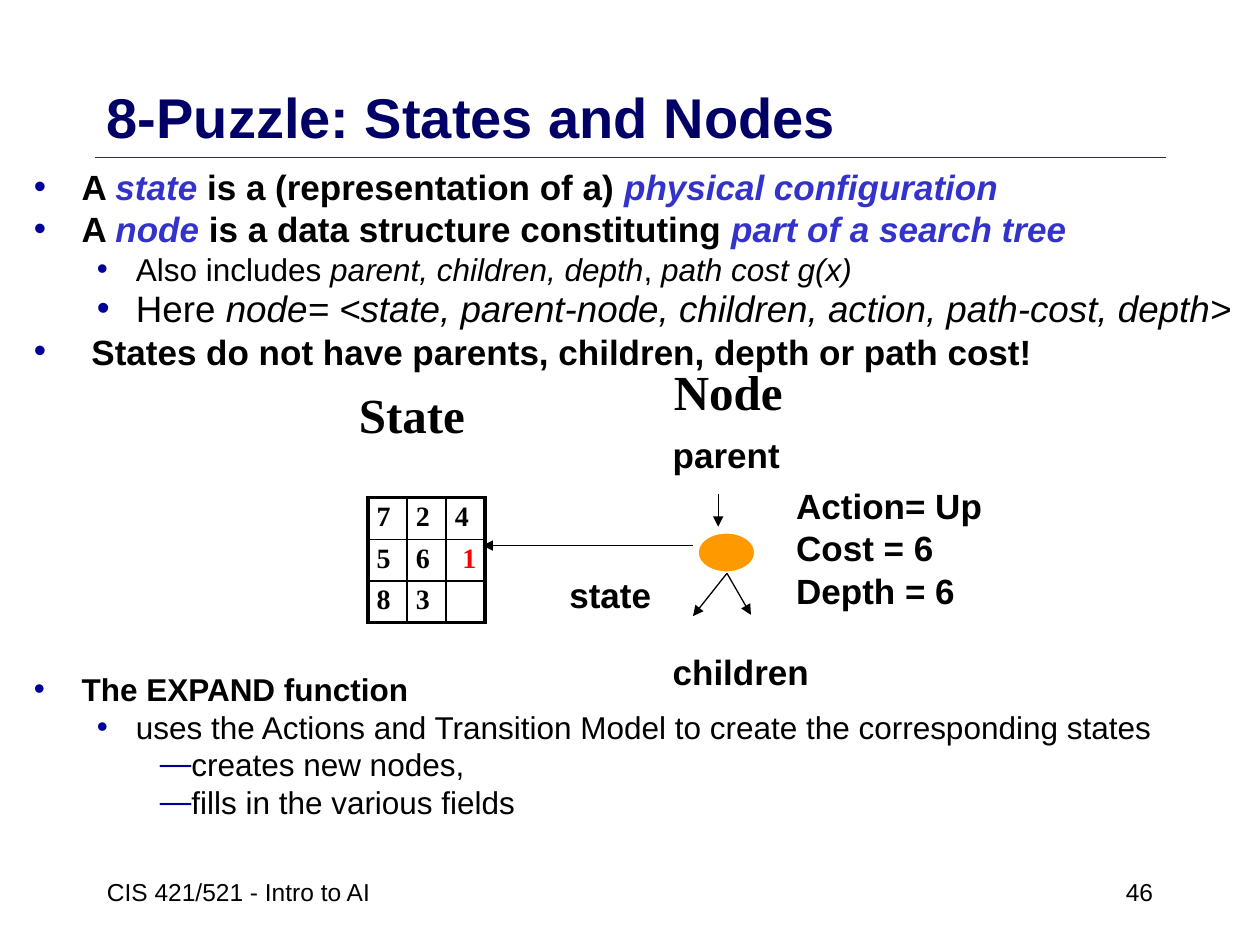
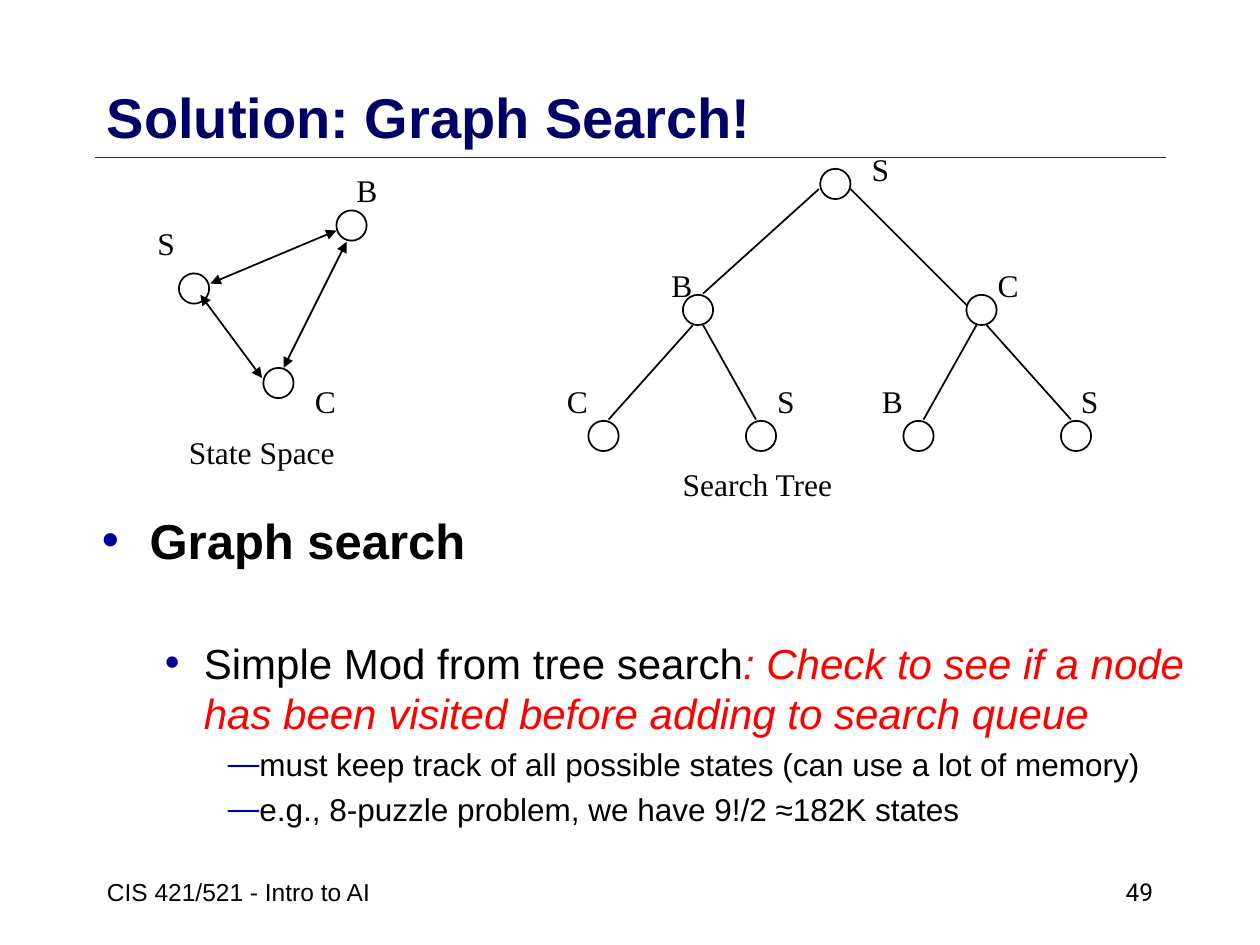
from lxml.etree import SubElement
from pptx import Presentation
from pptx.dml.color import RGBColor
from pptx.enum.shapes import MSO_CONNECTOR as Connector, MSO_SHAPE as Shape
from pptx.enum.text import MSO_ANCHOR as Anchor, PP_ALIGN as Align
from pptx.oxml.ns import qn
from pptx.util import Inches, Pt

COLORS = {
    "title": "000066", "rule": "003399", "bullet": "000099", "text": "000000",
    "term": "3333CC", "alert": "FF0000", "node": "FF9900", "white": "FFFFFF",
}
SANS, SERIF = "Arial", "Times New Roman"
# Bullet sign, left margin and hanging indent of each list level
LEVELS = [("•", 0.38, 0.38), ("•", 0.81, 0.31), ("—", 1.25, 0.25)]


def rgb(name):
    return RGBColor.from_string(COLORS[name])


class SlideBuilder:
    """Holds the shared style and the page being drawn."""

    def __init__(self):
        self.deck = Presentation()
        self.deck.slide_width, self.deck.slide_height = Inches(10), Inches(7.5)
        self.page = None

    def start(self, title, number, number_font=SANS):
        """Add a page with its title, rule and footers."""
        self.page = self.deck.slides.add_slide(self.deck.slide_layouts[6])
        self.line((0.75, 1.25), (9.25, 1.25), "rule")
        self.text((0.75, 0.67, 8.5, 0.5), [title], 32, color="title", bold=True, middle=True)
        self.text((0.75, 6.83, 2.83, 0.5), ["CIS 421/521 - Intro to AI"], 14, middle=True)
        self.text((7.17, 6.83, 2.08, 0.5), [number], 14, font=number_font,
                  middle=True, align=Align.RIGHT)

    def span(self, para, words, size, font=SANS, color="text", bold=False, italic=False):
        span = para.add_run()
        span.text = words
        style = span.font
        style.name, style.size, style.bold, style.italic = font, Pt(size), bold, italic
        style.color.rgb = rgb(color)

    def frame(self, place, wrap=True):
        box = self.page.shapes.add_textbox(*map(Inches, place))
        box.text_frame.word_wrap = wrap
        return box.text_frame

    def paragraphs(self, frame, items):
        """Yield one paragraph for each item, starting with the empty first one."""
        for index, item in enumerate(items):
            yield (frame.add_paragraph() if index else frame.paragraphs[0]), item

    def text(self, place, lines, size, wrap=True, middle=False, align=Align.LEFT, **style):
        frame = self.frame(place, wrap)
        frame.vertical_anchor = Anchor.MIDDLE if middle else Anchor.TOP
        for para, words in self.paragraphs(frame, lines):
            para.alignment = align
            self.span(para, words, size, **style)

    def label(self, words, left, top, width=0.36, height=0.4, size=18, font=SERIF, bold=False):
        self.text((left, top, width, height), [words], size, wrap=False, font=font, bold=bold)

    def bullets(self, place, items, spacing=1.0, gap_after=False):
        """Each item is (level, size, spans[, space before]); a span is (words, style)."""
        frame = self.frame(place)
        for para, (level, size, spans, *before) in self.paragraphs(frame, items):
            sign, margin, hang = LEVELS[level]
            gap = Pt(round(size * 0.23, 1))
            para.level, para.line_spacing = level, spacing
            first = para._p is frame.paragraphs[0]._p
            para.space_before = Pt(0) if first or gap_after else (before[0] if before else gap)
            para.space_after = gap if gap_after else Pt(0)
            props = para._p.get_or_add_pPr()
            props.set("marL", str(Inches(margin)))
            props.set("indent", str(-Inches(hang)))
            tint = SubElement(props, qn("a:buClr"))
            SubElement(tint, qn("a:srgbClr"), val=COLORS["bullet"])
            SubElement(props, qn("a:buFont"), typeface=SANS)
            SubElement(props, qn("a:buChar"), char=sign)
            for words, style in spans:
                self.span(para, words, size, bold=level == 0, **style)

    def line(self, start, end, color="text", width=1, heads=()):
        ends = map(Inches, (*start, *end))
        link = self.page.shapes.add_connector(Connector.STRAIGHT, *ends)
        link.line.color.rgb, link.line.width = rgb(color), Pt(width)
        SubElement(link._element.spPr, qn("a:effectLst"))
        for head in heads:
            SubElement(link.line._ln, qn(f"a:{head}"), type="triangle")

    def ellipse(self, left, top, width=0.24, height=0.24, fill=None, line="text", weight=1):
        oval = self.page.shapes.add_shape(Shape.OVAL, *map(Inches, (left, top, width, height)))
        oval.shadow.inherit = False
        if fill:
            oval.fill.solid()
            oval.fill.fore_color.rgb = rgb(fill)
        else:
            oval.fill.background()
        oval.line.color.rgb, oval.line.width = rgb(line), Pt(weight)

    def puzzle(self, place, rows, moved):
        """Draw the board; the moved tile is red and set a little to the right."""
        last = len(rows) - 1
        grid = self.page.shapes.add_table(len(rows), len(rows), *map(Inches, place)).table
        grid.first_row = grid.horz_banding = False
        for r, tiles in enumerate(rows):
            for c, tile in enumerate(tiles):
                cell = grid.cell(r, c)
                cell.margin_left = Inches(0.13 if tile == moved else 0.07)
                cell.margin_right = Inches(0.05)
                cell.margin_top = cell.margin_bottom = Inches(0.03)
                outer = {"L": c == 0, "R": c == last, "T": r == 0, "B": r == last}
                for side, thick in outer.items():
                    border = SubElement(cell._tc.get_or_add_tcPr(), qn(f"a:ln{side}"),
                                        w=str(Pt(2.25 if thick else 1)))
                    paint = SubElement(border, qn("a:solidFill"))
                    SubElement(paint, qn("a:srgbClr"), val=COLORS["text"])
                cell.fill.background()
                para = cell.text_frame.paragraphs[0]
                if tile:
                    self.span(para, tile, 16, SERIF, "alert" if tile == moved else "text", True)
                else:
                    SubElement(para._p, qn("a:endParaRPr"), sz="1600")


PLAIN, ITALIC = {}, {"italic": True}
TERM = {"color": "term", "italic": True}
ALERT = {"color": "alert", "italic": True}


def states_and_nodes(show):
    show.start("8-Puzzle: States and Nodes", "46")

    # Definitions above the diagram, EXPAND below it
    show.bullets((0.17, 1.33, 9.75, 1.7), [
        (0, 20, [("A ", PLAIN), ("state ", TERM), ("is a (representation of a) ", PLAIN),
                 ("physical configuration", TERM)]),
        (0, 20, [("A ", PLAIN), ("node ", TERM), ("is a data structure constituting ", PLAIN),
                 ("part of a search tree", TERM)]),
        (1, 18, [("Also includes ", PLAIN), ("parent, children, depth", ITALIC),
                 (", ", PLAIN), ("path cost g(x)", ITALIC)]),
        (1, 21, [("Here ", PLAIN),
                 ("node= <state, parent-node, children, action, path-cost, depth>", ITALIC)]),
        (0, 20, [(" States do not have parents, children, depth or path cost!", PLAIN)]),
    ], spacing=0.8, gap_after=True)
    show.bullets((0.17, 5.33, 9.75, 1.4), [
        (0, 18, [("The EXPAND function", PLAIN)]),
        (1, 18, [("uses the Actions and Transition Model to create the corresponding states",
                  PLAIN)]),
        (2, 18, [("creates new nodes,", PLAIN)]),
        (2, 18, [("fills in the various fields", PLAIN)]),
    ], spacing=0.8)

    # Node with its links
    show.ellipse(5.54, 4.23, 0.45, 0.31, fill="node", line="white", weight=0.75)
    fork = (5.77, 4.55)
    for start, end in [((5.7, 3.92), (5.7, 4.18)), (fork, (5.5, 4.89)),
                       (fork, (5.96, 4.88)), ((5.5, 4.33), (3.83, 4.33))]:
        show.line(start, end, width=0.75, heads=["tailEnd"])
    for words, left, top, width in [("parent", 5.24, 3.39, 1.05),
                                    ("children", 5.24, 5.11, 1.28), ("state", 4.42, 4.5, 0.85)]:
        show.label(words, left, top, width, 0.43, 20, SANS, True)
    show.text((6.22, 3.8, 1.68, 1.1), ["Action= Up", "Cost = 6", "Depth = 6"], 20, bold=True)

    # Headings and board
    for words, left, top in [("Node", 5.25, 2.82), ("State", 2.75, 3)]:
        show.text((left, top, 1.25, 0.57), [words], 28, font=SERIF, bold=True)
    show.puzzle((2.92, 3.95, 0.93, 0.99), ["724", "561", ("8", "3", "")], moved="1")


def graph_search(show):
    show.start("Solution: Graph Search!", "49", "Roboto")
    show.bullets((0.71, 4, 8.88, 2.8), [
        (0, 28, [("Graph search", PLAIN)]),
        (1, 24, [("Simple Mod from tree search", PLAIN),
                 (": Check to see if a node has been visited before adding to search queue",
                  ALERT)], Pt(39)),
        (2, 18, [("must keep track of all possible states (can use a lot of memory)", PLAIN)]),
        (2, 18, [("e.g., 8-puzzle problem, we have 9!/2 ≈182K states", PLAIN)]),
    ])

    # State space: name, circle corner, label corner
    space = [("S", (1.42, 2.17), (1.15, 1.73)), ("C", (2.09, 2.92), (2.4, 2.98)),
             ("B", (2.67, 1.67), (2.73, 1.31))]
    # Search tree, level by level
    tree = [("S", (6.51, 1.34), (6.82, 1.14)),
            ("B", (5.42, 2.34), (5.23, 2.06)), ("C", (7.67, 2.34), (7.82, 2.06))]
    leaf_labels = [("C", 4.4), ("S", 6.07), ("B", 6.9), ("S", 8.48)]
    tree += [(name, (4.67 + 1.25 * i, 3.34), (left, 2.98))
             for i, (name, left) in enumerate(leaf_labels)]
    for name, circle, label in space + tree:
        show.ellipse(*circle)
        show.label(name, *label, width=0.34 if name == "S" else 0.36)

    # Two-way moves between states
    for start, end in [((1.67, 2.25), (2.67, 1.83)), ((2.75, 1.92), (2.25, 2.92)),
                       ((1.59, 2.34), (2.08, 3))]:
        show.line(start, end, heads=["headEnd", "tailEnd"])
    # Branches of the tree
    for start, end in [((6.5, 1.5), (5.58, 2.33)), ((6.75, 1.5), (7.67, 2.42)),
                       ((5.5, 2.58), (4.83, 3.33)), ((5.58, 2.58), (6, 3.33)),
                       ((7.75, 2.58), (7.33, 3.33)), ((7.83, 2.58), (8.5, 3.33))]:
        show.line(start, end)

    show.label("State Space", 1.4, 3.39, 1.36)
    show.label("Search Tree", 5.32, 3.64, 1.4)


def main():
    show = SlideBuilder()
    states_and_nodes(show)
    graph_search(show)
    show.deck.save("out.pptx")


if __name__ == "__main__":
    main()
